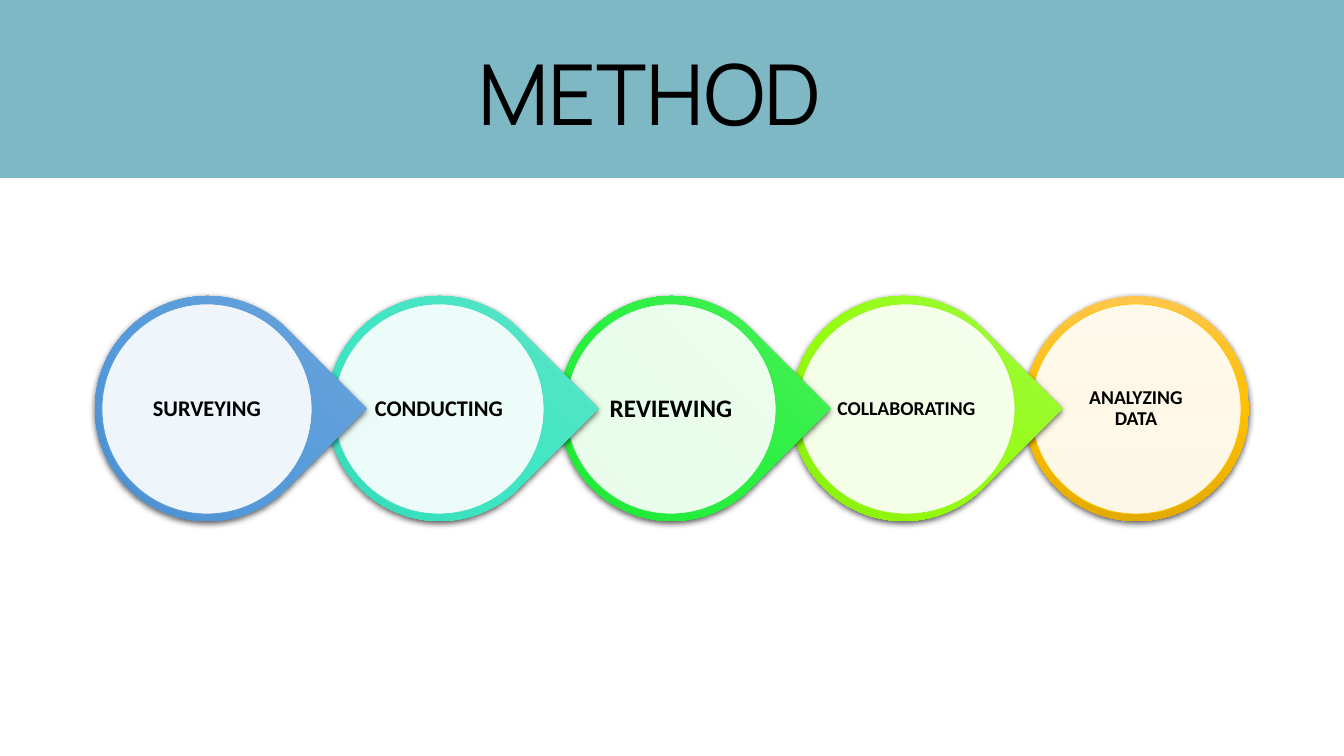
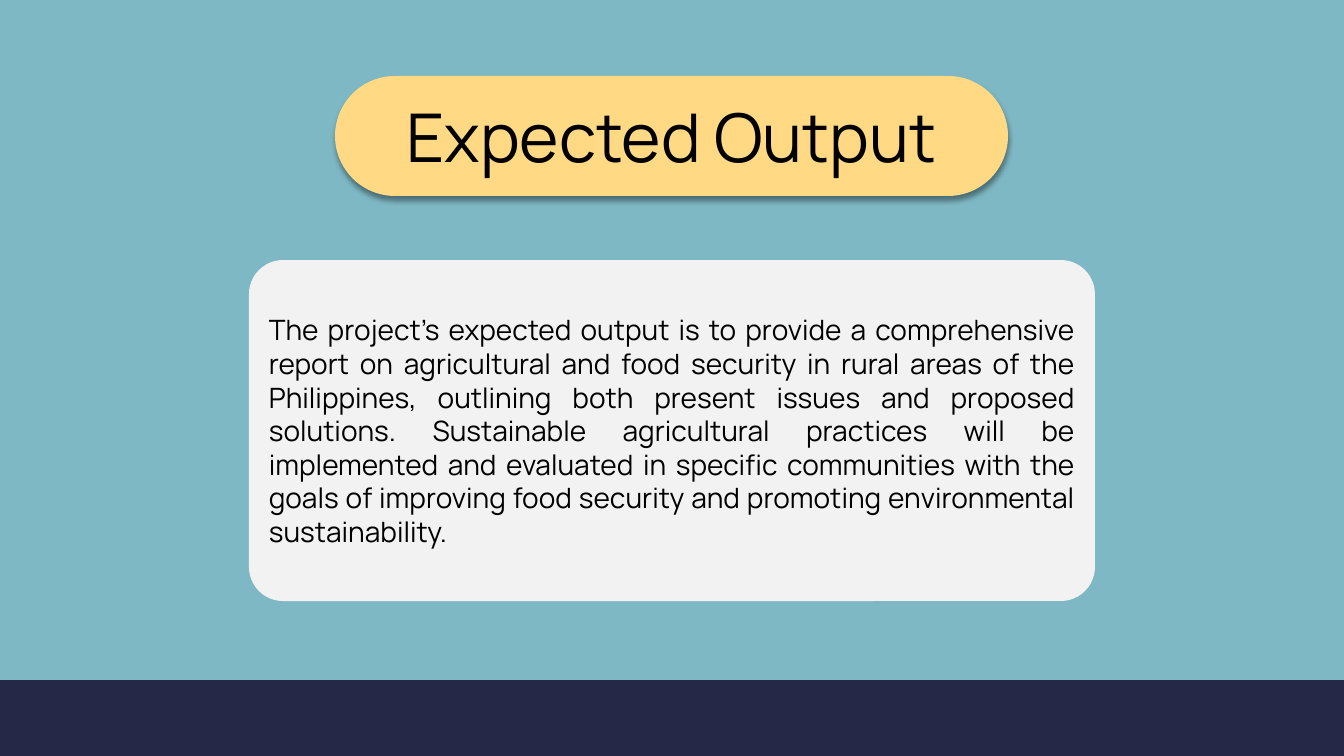
"""Builds the Method and Expected Output slides."""
from pptx import Presentation
from pptx import util as u
from pptx.dml.color import RGBColor
from pptx.enum import shapes, text
from pptx.oxml import parse_xml
from pptx.oxml.ns import nsdecls, qn

PX = 12192000 / 1344
SHAPE = shapes.MSO_SHAPE
ALIGN = text.PP_ALIGN
ANCHOR = text.MSO_ANCHOR
TEAL, NAVY, YELLOW, GREY = "7EB8C4", "252847", "FFD984", "F2F2F2"
WHITE, BLACK = "FFFFFF", "000000"


def add_shape(s, kind, box, fill, shadow=None):
    sp = s.shapes.add_shape(kind, *[u.Emu(round(v * PX)) for v in box])
    sp.fill.solid()
    sp.fill.fore_color.rgb = RGBColor.from_string(fill)
    sp.line.fill.background()
    sp.shadow.inherit = False
    if shadow:
        alpha, blur, dist = shadow
        sp._element.spPr.find(qn("a:effectLst")).append(parse_xml(
            f'<a:outerShdw {nsdecls("a")} blurRad="{u.Pt(blur)}" dist="{u.Pt(dist)}" '
            f'dir="5400000" algn="ctr" rotWithShape="0"><a:srgbClr val="{BLACK}">'
            f'<a:alpha val="{alpha * 1000}"/></a:srgbClr></a:outerShdw>'))
    return sp


def set_text(sp, words, font, size, align, anchor=ANCHOR.MIDDLE, wrap=True):
    tf = sp.text_frame
    tf.text = words
    tf.word_wrap = wrap
    tf.auto_size = text.MSO_AUTO_SIZE.NONE
    tf.vertical_anchor = anchor
    p = tf.paragraphs[0]
    p.alignment = align
    p.font.name = font
    p.font.size = u.Pt(size)
    p.font.color.rgb = RGBColor.from_string(BLACK)
    return p


prs = Presentation()
prs.slide_width, prs.slide_height = u.Inches(13.333), u.Inches(7.5)
title_only = prs.slide_layouts[5]

method = prs.slides.add_slide(title_only)
add_shape(method, SHAPE.RECTANGLE, (0, 0, 1344, 178), TEAL)

steps = [
    ("SURVEYING", 16, "5B9BD5", ("71A6DB", "559BDB", "448ACA")),
    ("CONDUCTING", 16, "46DEBF", ("63E3C6", "3EE6C4", "2FD5B3")),
    ("REVIEWING", 18, "30E845", ("56EC62", "27F13E", "18E12F")),
    ("COLLABORATING", 14, "94F319", ("A0F74E", "95FE0E", "85E509")),
    ("ANALYZING DATA", 14, "FFC000", ("FFC64B", "FFC000", "E3AB00")),
]
last = len(steps) - 1
for i, (label, size, edge, shades) in reversed(list(enumerate(steps))):
    left = 95 + 929 * i // 4
    kind = SHAPE.OVAL if i == last else SHAPE.TEAR
    ring = add_shape(method, kind, (left, 296, 225, 225), shades[1], (63, 4.5, 1.5))
    ring.rotation = 0 if i == last else 45
    stops = "".join(f'<a:gs pos="{n * 50000}"><a:srgbClr val="{c}"/></a:gs>'
                    for n, c in enumerate(shades))
    solid = ring._element.spPr.find(qn("a:solidFill"))
    ring._element.spPr.replace(solid, parse_xml(
        f'<a:gradFill {nsdecls("a")} rotWithShape="1"><a:gsLst>{stops}</a:gsLst>'
        '<a:lin ang="5400000" scaled="0"/></a:gradFill>'))

    width = 217 if label == "COLLABORATING" else 210
    disc = add_shape(method, SHAPE.OVAL, (left + 7, 304, width, 210), WHITE)
    color = disc._element.spPr.find(qn("a:solidFill"))[0]
    color.append(parse_xml(f'<a:alpha {nsdecls("a")} val="90000"/>'))
    disc.line.color.rgb = RGBColor.from_string(edge)
    disc.line.width = u.Pt(0.5)
    tf = disc.text_frame
    tf.margin_left = tf.margin_right = u.Emu(round(6 * PX))
    p = set_text(disc, label, "Calibri", size, ALIGN.CENTER)
    p.font.bold = True
    p.line_spacing = 0.9

output = prs.slides.add_slide(title_only)
add_shape(output, SHAPE.RECTANGLE, (0, 680, 1344, 76), NAVY)
add_shape(output, SHAPE.RECTANGLE, (0, 0, 1344, 680), TEAL)
pill = add_shape(output, SHAPE.ROUNDED_RECTANGLE, (335, 76, 673, 120), YELLOW, (40, 4, 3))
pill.adjustments[0] = 0.5
card = add_shape(output, SHAPE.ROUNDED_RECTANGLE, (249, 260, 846, 341), GREY)
card.adjustments[0] = 0.1
set_text(card, "The project’s expected output is to provide a comprehensive report on "
         "agricultural and food security in rural areas of the Philippines, outlining "
         "both present issues and proposed solutions. Sustainable agricultural practices "
         "will be implemented and evaluated in specific communities with the goals of "
         "improving food security and promoting environmental sustainability.",
         "Manrope", 20, ALIGN.JUSTIFY)

titles = [
    (method, "METHOD", 60, (468, 36, 394, 112), ALIGN.LEFT, ANCHOR.TOP, False),
    (output, "Expected Output", 48, (335, 76, 673, 120), ALIGN.CENTER, ANCHOR.MIDDLE, True),
]
for s, words, size, box, align, anchor, wrap in titles:
    title = s.shapes.title
    title.left, title.top, title.width, title.height = [u.Emu(round(v * PX)) for v in box]
    set_text(title, words, "Manrope", size, align, anchor, wrap)
    s.shapes._spTree.append(title._element)

prs.save("out.pptx")
